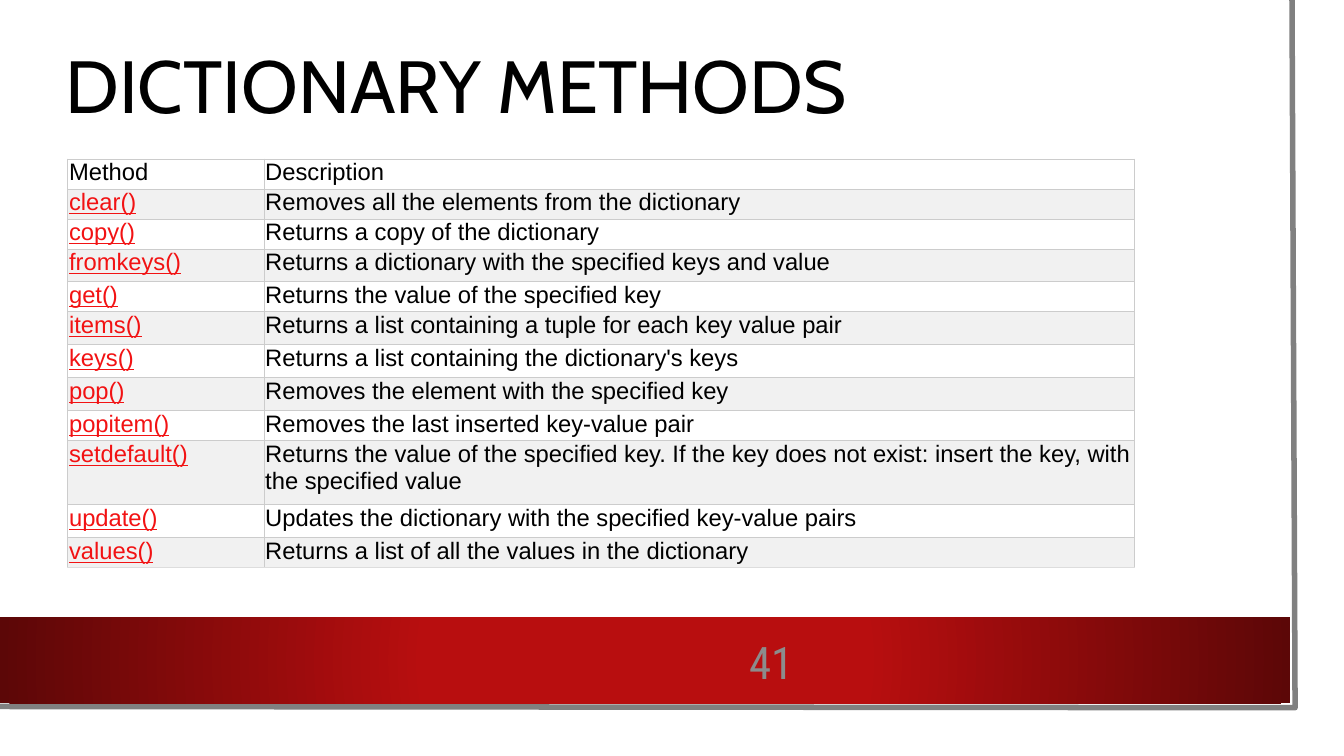
from lxml.etree import SubElement
from pptx import Presentation
from pptx.dml.color import RGBColor
from pptx.enum.shapes import MSO_SHAPE
from pptx.enum.text import MSO_ANCHOR, MSO_AUTO_SIZE, PP_ALIGN
from pptx.oxml import parse_xml
from pptx.oxml.ns import nsdecls, qn
from pptx.util import Inches, Pt

METHODS = [
    ("Method", "Description", 0.49),
    ("clear()", "Removes all the elements from the dictionary", 0.49),
    ("copy()", "Returns a copy of the dictionary", 0.49),
    ("fromkeys()", "Returns a dictionary with the specified keys and value", 0.54),
    ("get()", "Returns the value of the specified key", 0.49),
    ("items()", "Returns a list containing a tuple for each key value pair", 0.54),
    ("keys()", "Returns a list containing the dictionary's keys", 0.54),
    ("pop()", "Removes the element with the specified key", 0.54),
    ("popitem()", "Removes the last inserted key-value pair", 0.49),
    ("setdefault()", "Returns the value of the specified key. If the key does not "
     "exist: insert the key, with the specified value", 1.05),
    ("update()", "Updates the dictionary with the specified key-value pairs", 0.54),
    ("values()", "Returns a list of all the values in the dictionary", 0.49),
]


def paint(part, color):
    part.solid()
    part.fore_color.rgb = RGBColor.from_string(color)


def add_run(para, text, font, size, color, line=None):
    run = para.add_run()
    run.text = text
    run.font.name = font
    run.font.size = Pt(size)
    run.font.underline = line
    paint(run.font.fill, color)


def set_frame(frame):
    frame.word_wrap = True
    frame.vertical_anchor = MSO_ANCHOR.MIDDLE
    frame.margin_left = frame.margin_right = 0
    frame.margin_top = frame.margin_bottom = 0


def add_rect(slide, box, color):
    rect = slide.shapes.add_shape(MSO_SHAPE.RECTANGLE, *map(Inches, box))
    rect.shadow.inherit = False
    paint(rect.fill, color)
    rect.line.fill.background()
    return rect


def add_edge(slide):
    start, *rest = [(Inches(x), Inches(y))
                    for x, y in [(21.14, 0), (21.19, 11.58), (-0.05, 11.56)]]
    build = slide.shapes.build_freeform(*start)
    build.add_line_segments(rest, close=False)
    edge = build.convert_to_shape()
    edge.shadow.inherit = False
    edge.fill.background()
    paint(edge.line.fill, "808080")
    edge.line.width = Pt(6.5)


def add_band(slide):
    band = add_rect(slide, (0, 10.1, 21.11, 1.41), "B80E0F")
    grad = parse_xml(
        f'<a:gradFill {nsdecls("a")} rotWithShape="1"><a:gsLst>'
        '<a:gs pos="34000"><a:srgbClr val="B80E0F"/></a:gs>'
        '<a:gs pos="100000"><a:srgbClr val="5C0707"/></a:gs></a:gsLst>'
        '<a:path path="circle"><a:fillToRect l="50000" t="50000" '
        'r="50000" b="50000"/></a:path></a:gradFill>')
    solid = band.element.spPr.find(qn("a:solidFill"))
    solid.getparent().replace(solid, grad)


def set_title(slide, text):
    title = slide.shapes.title
    title.left, title.top = Inches(1.07), Inches(0.81)
    title.width, title.height = Inches(18.75), Inches(1.32)
    set_frame(title.text_frame)
    title.text_frame.auto_size = MSO_AUTO_SIZE.SHAPE_TO_FIT_TEXT
    para = title.text_frame.paragraphs[0]
    para.alignment = PP_ALIGN.LEFT
    para.line_spacing = 0.9
    add_run(para, text, "Cabin", 87, "000000")
    # Bring the title in front of the backdrop
    title.element.getparent().append(title.element)


def add_number(slide, text):
    box = slide.shapes.add_textbox(Inches(11.34), Inches(10.38),
                                   Inches(1.64), Inches(0.9))
    set_frame(box.text_frame)
    para = box.text_frame.paragraphs[0]
    para.alignment = PP_ALIGN.RIGHT
    add_run(para, text, "Roboto Condensed", 52.8, "8C8C8C")


def set_border(cell, low):
    props = cell._tc.get_or_add_tcPr()
    sides = [("lnL", "CCCCCC"), ("lnR", "CCCCCC"), ("lnT", "CCCCCC"), ("lnB", low)]
    for side, color in sides:
        line = SubElement(props, qn(f"a:{side}"), w=str(Pt(0.5)))
        fill = SubElement(line, qn("a:solidFill"))
        SubElement(fill, qn("a:srgbClr"), val=color)


def fill_cell(cell, text, row, col):
    last = row == len(METHODS) - 1
    set_border(cell, "DDDDDD" if last else "CCCCCC")
    paint(cell.fill, "F1F1F1" if row % 2 else "FFFFFF")
    cell.margin_left = Inches(0.01 if col else 0.03)
    cell.margin_right = cell.margin_top = cell.margin_bottom = Inches(0.01)
    link = row > 0 and col == 0
    add_run(cell.text_frame.paragraphs[0], text, "Arial", 28,
            "F21213" if link else "000000", link)


def add_grid(slide):
    high = sum(method[2] for method in METHODS)
    table = slide.shapes.add_table(len(METHODS), 2, Inches(1.1), Inches(2.6),
                                   Inches(17.46), Inches(high)).table
    table.columns[0].width = Inches(3.23)
    table.columns[1].width = Inches(14.23)
    for row, (name, note, tall) in enumerate(METHODS):
        table.rows[row].height = Inches(tall)
        for col, text in enumerate((name, note)):
            fill_cell(table.cell(row, col), text, row, col)


def main():
    deck = Presentation()
    deck.slide_width, deck.slide_height = Inches(21.99), Inches(12.37)
    slide = deck.slides.add_slide(deck.slide_layouts[5])

    # Backdrop
    add_rect(slide, (0, 0, 21.6, 11.98), "FFFFFF")
    add_edge(slide)
    add_band(slide)

    # Content
    set_title(slide, "DICTIONARY METHODS")
    add_number(slide, "41")
    add_grid(slide)
    deck.save("out.pptx")


if __name__ == "__main__":
    main()
